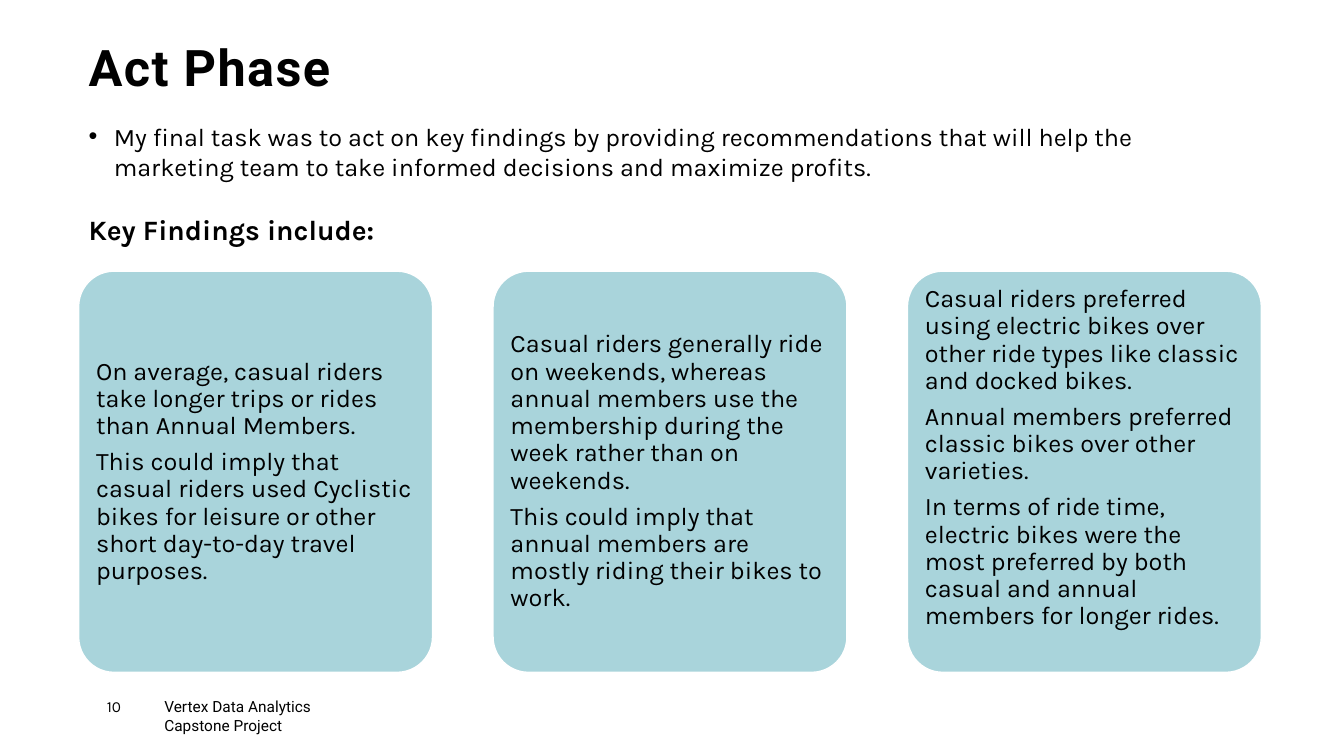
from pptx import Presentation
from pptx.dml.color import RGBColor
from pptx.enum.shapes import MSO_SHAPE
from pptx.enum.text import MSO_ANCHOR, PP_ALIGN
from pptx.oxml import parse_xml
from pptx.oxml.ns import nsdecls
from pptx.util import Inches, Pt


def color(value):
    return RGBColor.from_string(value)


def write(shape, texts, font, size, inset=None, anchor=MSO_ANCHOR.TOP):
    frame = shape.text_frame
    frame.word_wrap = True
    frame.vertical_anchor = anchor
    if inset is not None:
        frame.margin_left = frame.margin_right = Inches(inset)
        frame.margin_top = frame.margin_bottom = Inches(inset)
    frame.text = "\n".join(texts)
    for para in frame.paragraphs:
        para.alignment = PP_ALIGN.LEFT
        para.font.name = font
        para.font.size = Pt(size)
        para.font.color.rgb = color("000000")
    return frame


deck = Presentation()
deck.slide_width = Inches(13.33)
deck.slide_height = Inches(7.5)
page = deck.slides.add_slide(deck.slide_layouts[6])

title_box = page.shapes.add_textbox(Inches(0.78), Inches(0.16), Inches(11.38), Inches(1.07))
title = write(title_box, ["Act Phase"], "Roboto", 36, anchor=MSO_ANCHOR.MIDDLE).paragraphs[0]
title.line_spacing = 0.9
title.font.bold = True
title.runs[0].font._element.set("spc", "100")

intro_box = page.shapes.add_textbox(Inches(0.78), Inches(1.15), Inches(11.35), Inches(1.5))
task, heading = write(intro_box, [
    "My final task was to act on key findings by providing recommendations that will help "
    "the marketing team to take informed decisions and maximize profits.",
    "Key Findings include:",
], "Karla", 18).paragraphs
task.space_before = heading.space_before = Pt(10)
heading.line_spacing = 1.5
heading.font.size = Pt(20)
heading.font.bold = True
bullet = task._p.get_or_add_pPr()
bullet.set("marL", str(Inches(0.25)))
bullet.set("indent", str(-Inches(0.25)))
for tag in (f'<a:buFont {nsdecls("a")} typeface="Arial"/>', f'<a:buChar {nsdecls("a")} char="•"/>'):
    bullet.insert_element_before(parse_xml(tag), "a:tabLst", "a:defRPr", "a:extLst")

findings = [
    ["On average, casual riders take longer trips or rides than Annual Members.",
     "This could imply that casual riders used Cyclistic bikes for leisure or other short "
     "day-to-day travel purposes."],
    ["Casual riders generally ride on weekends, whereas annual\u00a0members use the "
     "membership\u00a0during the week rather than on weekends.",
     "This could imply that annual\u00a0members are mostly\u00a0riding their bikes to work."],
    ["Casual riders preferred using electric bikes over other ride types like classic and "
     "docked bikes.",
     "Annual members preferred classic bikes over other varieties.",
     "In terms of ride time, electric bikes were the most preferred by both casual and "
     "annual members for longer rides."],
]
for column, texts in enumerate(findings):
    card = page.shapes.add_shape(MSO_SHAPE.ROUNDED_RECTANGLE, Inches(0.78 + 4.11 * column),
                                 Inches(2.69), Inches(3.51), Inches(3.98))
    card.adjustments[0] = 0.1
    card.shadow.inherit = False
    card.fill.solid()
    card.fill.fore_color.rgb = color("A9D4DB")
    card.line.color.rgb = color("FFFFFF")
    card.line.width = Pt(1)
    frame = write(card, texts, "Karla", 18, 0.07, MSO_ANCHOR.MIDDLE)
    for para in frame.paragraphs:
        para.line_spacing = 0.9
        para.space_after = Pt(6.3)
frame.margin_bottom = Inches(0.34)

for left, width, text, font in [
    (1.06, 0.57, "10", "Karla"),
    (1.63, 1.64, "Vertex Data Analytics Capstone Project", "Roboto"),
]:
    footer = page.shapes.add_textbox(Inches(left), Inches(6.92), Inches(width), Inches(0.27))
    write(footer, [text], font, 11, 0)

deck.save("out.pptx")
